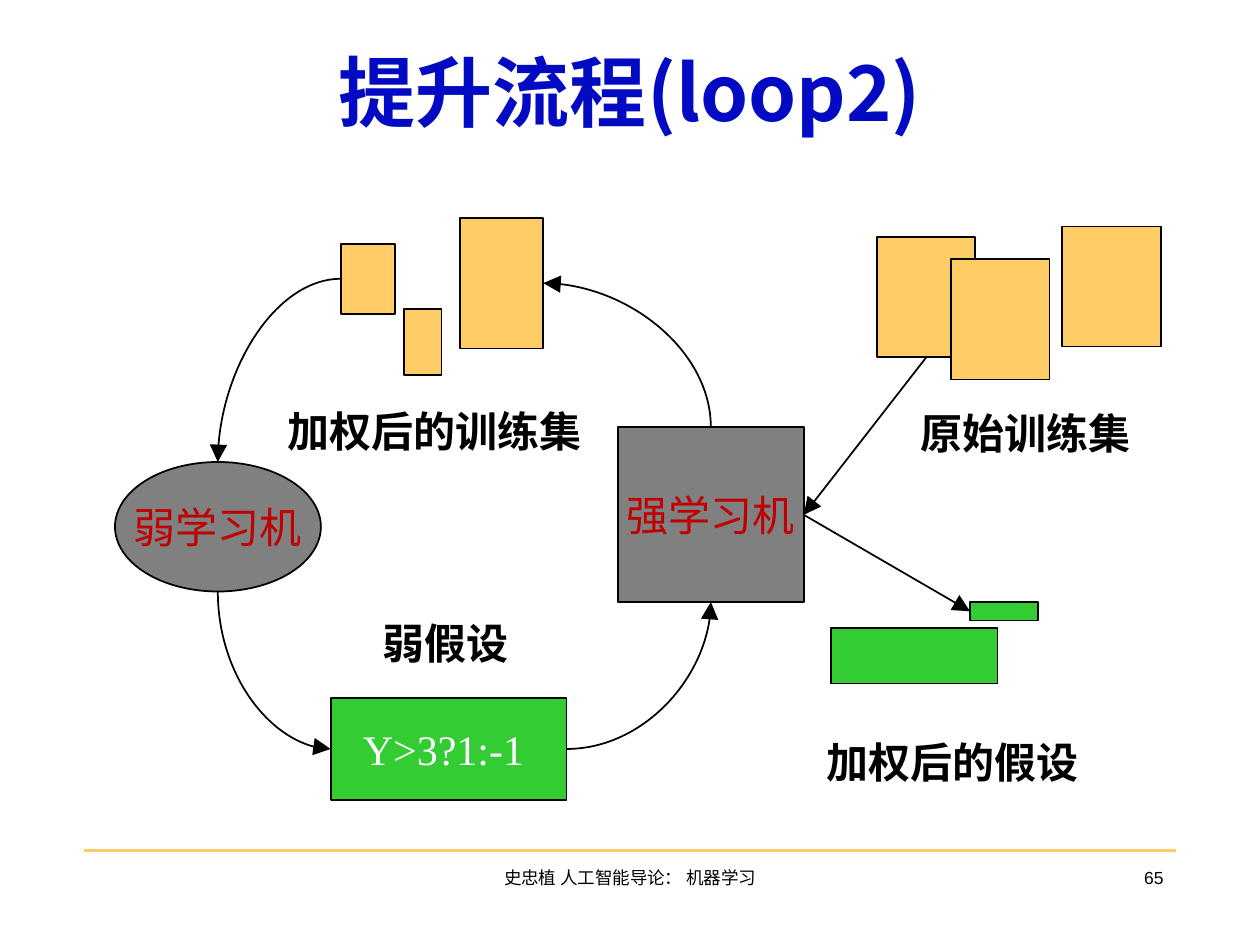
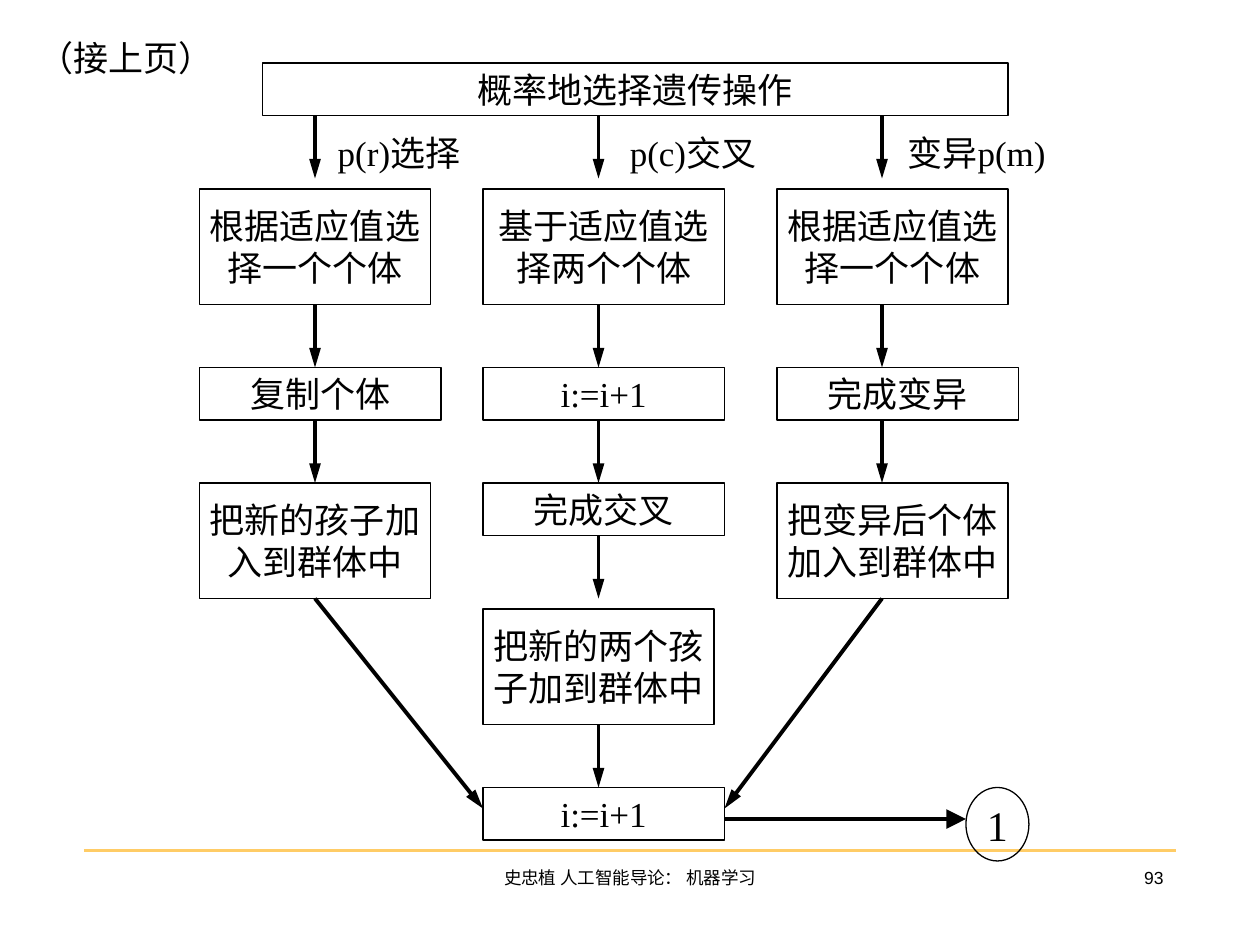
from dataclasses import dataclass
from typing import Optional

from lxml.etree import SubElement
from pptx import Presentation
from pptx.dml.color import RGBColor as Rgb
from pptx.enum.shapes import MSO_CONNECTOR as Link, MSO_SHAPE as Kind
from pptx.enum.text import MSO_ANCHOR as Anchor, MSO_AUTO_SIZE as Fit, PP_ALIGN as Align
from pptx.oxml.ns import qn
from pptx.util import Pt

BLACK, WHITE, BLUE, RED = "000000", "FFFFFF", "020BC2", "C00000"
GOLD, GREEN, GRAY = "FFCC66", "33CC33", "808080"
SERIF, SANS, HAN, HEAD = "Times New Roman", "Arial", "Noto Sans CJK SC", "Noto Sans CJK JP"
FOOTER = "史忠植 人工智能导论： 机器学习"


@dataclass
class Style:
    size: float
    color: str = BLACK
    bold: bool = False
    font: str = SERIF
    align: Align = Align.CENTER
    anchor: Anchor = Anchor.MIDDLE
    wrap: bool = False


@dataclass
class Box:
    left: float
    top: float
    width: float
    height: float
    text: str = ""
    fill: Optional[str] = None
    kind: Kind = Kind.RECTANGLE


@dataclass
class Arrow:
    x1: float
    y1: float
    x2: float
    y2: float
    curve: bool = False
    end: str = "tailEnd"
    broad: str = "lg"


TITLE = Style(44, BLUE, True, HEAD, anchor=Anchor.TOP, wrap=True)
FOOT = Style(10, font=SANS, anchor=Anchor.TOP, wrap=True)
PAGE = Style(10, font=SANS, align=Align.RIGHT, anchor=Anchor.TOP, wrap=True)
NAME = Style(24, bold=True, align=Align.LEFT, anchor=Anchor.TOP)
ROLE, RULE, MARK, STEP = Style(24, RED), Style(24, WHITE), Style(24), Style(20)


def tint(color: str) -> Rgb:
    """Turn a hex string into a colour."""
    return Rgb.from_string(color)


def write(shape, text: str, style: Style) -> None:
    """Put styled text into a shape."""
    frame = shape.text_frame
    frame.text = text
    frame.word_wrap, frame.auto_size = style.wrap, Fit.NONE
    frame.vertical_anchor = style.anchor
    for para in frame.paragraphs:
        para.alignment = style.align
        for run in para.runs:
            font = run.font
            font.name, font.size, font.bold = style.font, Pt(style.size), style.bold
            font.color.rgb = tint(style.color)
            SubElement(run._r.get_or_add_rPr(), qn("a:ea"), typeface=HAN)


def place(box: Box) -> list:
    """List the frame of a box as lengths."""
    return [Pt(v) for v in (box.left, box.top, box.width, box.height)]


def label(slide, box: Box, style: Style) -> None:
    """Add a plain text box."""
    write(slide.shapes.add_textbox(*place(box)), box.text, style)


def block(slide, box: Box, style: Style, line: float) -> None:
    """Add an outlined shape, with text if there is any."""
    shape = slide.shapes.add_shape(box.kind, *place(box))
    shape.shadow.inherit = False
    if box.fill:
        shape.fill.solid()
        shape.fill.fore_color.rgb = tint(box.fill)
    else:
        shape.fill.background()
    shape.line.color.rgb = tint(BLACK)
    shape.line.width = Pt(line)
    if box.text:
        write(shape, box.text, style)


def join(slide, way: Arrow, width: float, color: str = BLACK) -> None:
    """Add a line, straight or bent once into a curve."""
    ends = [Pt(v) for v in (way.x1, way.y1, way.x2, way.y2)]
    line = slide.shapes.add_connector(Link.CURVE if way.curve else Link.STRAIGHT, *ends)
    line.line.color.rgb = tint(color)
    line.line.width = Pt(width)
    props = line._element.spPr
    if way.curve:
        props.find(qn("a:prstGeom")).set("prst", "curvedConnector2")
    if way.end:
        tip = SubElement(props.find(qn("a:ln")), qn(f"a:{way.end}"), type="triangle")
        tip.set("w", way.broad)
        tip.set("len", "lg")
    SubElement(props, qn("a:effectLst"))


def start(deck, layout: int, page: int):
    """Add a slide with its rule, footer and page number."""
    slide = deck.slides.add_slide(deck.slide_layouts[layout])
    join(slide, Arrow(48, 486, 672, 486, end=""), 1.5, GOLD)
    label(slide, Box(246, 492, 228, 36, FOOTER), FOOT)
    label(slide, Box(522, 492, 150, 36, str(page)), PAGE)
    return slide


def boost(deck) -> None:
    """Build the boosting loop."""
    slide = start(deck, 5, 65)
    title = slide.shapes.title
    title.left, title.top, title.width, title.height = place(Box(36, 21.6, 648, 72.7))
    write(title, "提升流程(loop2)", TITLE)
    block(slide, Box(353, 244, 106.3, 100, "强学习机", GRAY), ROLE, 1)
    block(slide, Box(65.7, 264, 117.7, 74, "弱学习机", GRAY, Kind.OVAL), ROLE, 1)
    block(slide, Box(189, 398.9, 134.8, 58.3, "Y>3?1:-1 ", GREEN), RULE, 1)
    for x, y in ((501, 135.4), (543.5, 148.2), (607, 129.4)):
        block(slide, Box(x, y, 56.3, 68.7, fill=GOLD), NAME, 1)
    for frame in ((194.8, 139.4, 31, 40), (231, 176.5, 21.3, 37.7), (262.8, 124.5, 47.7, 74.7)):
        block(slide, Box(*frame, fill=GOLD), NAME, 1)
    for frame in ((554.3, 344, 39, 10.6), (474.7, 359, 95.3, 31.6)):
        block(slide, Box(*frame, fill=GREEN), NAME, 1)
    for x, y, text in (
        (518.7, 229.4, "原始训练集"),
        (157.5, 227.9, "加权后的训练集"),
        (465, 417.4, "加权后的假设"),
        (211.6, 349.4, "弱假设"),
    ):
        label(slide, Box(x, y, 24 * len(text) + 15, 36, text), NAME)
    for way in (
        Arrow(529.3, 204.2, 459.3, 294.2),
        Arrow(459.3, 294.2, 554.3, 349.3),
        Arrow(310.5, 161.8, 406.2, 244, True, "headEnd"),
        Arrow(194.8, 159.3, 124.5, 264, True),
        Arrow(189, 428, 124.5, 338, True, "headEnd"),
        Arrow(323.8, 428, 406.2, 344, True),
    ):
        join(slide, way, 1)


def breed(deck) -> None:
    """Build the flow of genetic operations."""
    slide = start(deck, 6, 93)
    low, high, slim, wide = 30, 66, 132, 138
    left, mid, right = 114, 276, 444
    pick, act, add, last, done = 108, 210, 276, 348, 450
    for box in (
        Box(150, 36, 426, low, "概率地选择遗传操作"),
        Box(left, pick, slim, high, "根据适应值选\n择一个个体"),
        Box(left, act, wide, low, "复制个体"),
        Box(left, add, slim, high, "把新的孩子加\n入到群体中"),
        Box(mid, pick, wide, high, "基于适应值选\n择两个个体"),
        Box(mid, act, wide, low, "i:=i+1"),
        Box(mid, add, wide, low, "完成交叉"),
        Box(mid, last, slim, high, "把新的两个孩\n子加到群体中"),
        Box(mid, done, wide, low, "i:=i+1"),
        Box(right, pick, slim, high, "根据适应值选\n择一个个体"),
        Box(right, act, wide, low, "完成变异"),
        Box(right, add, slim, high, "把变异后个体\n加入到群体中"),
    ):
        block(slide, box, STEP, 0.75)
    block(slide, Box(552, done, 36, 42, "1", kind=Kind.OVAL), MARK, 0.75)
    label(slide, Box(18, 18, 108, low, "（接上页）"), STEP)
    for x, text in ((180, "p(r)选择"), (348, "p(c)交叉"), (510, "变异p(m)")):
        label(slide, Box(x, 72, 96, low, text), STEP)
    drops = [(x, y) for x in (180, 342, 504) for y in (66, 174, 240)]
    for x, y in drops + [(342, 306), (342, 414)]:
        join(slide, Arrow(x, y, x, y + 36, broad="med"), 2.25)
    for ends in ((180, 342, 276, 462), (504, 342, 414, 462)):
        join(slide, Arrow(*ends, broad="med"), 2.25)
    join(slide, Arrow(414, 468, 552, 468), 2.25)


def main() -> None:
    """Build and save the deck."""
    deck = Presentation()
    deck.slide_width, deck.slide_height = Pt(720), Pt(540)
    boost(deck)
    breed(deck)
    deck.save("out.pptx")


if __name__ == "__main__":
    main()
